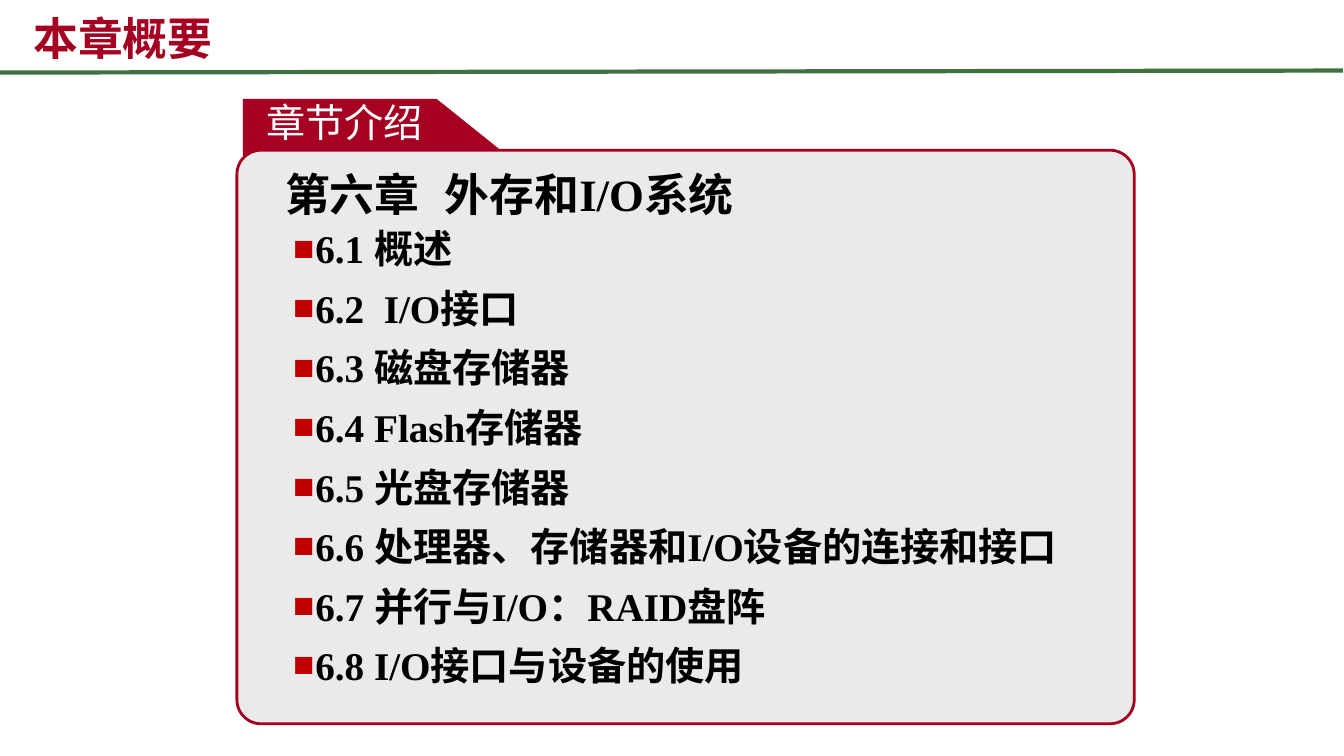
from lxml import etree
from pptx import Presentation
from pptx.dml.color import RGBColor
from pptx.enum.shapes import MSO_CONNECTOR, MSO_SHAPE
from pptx.enum.text import MSO_ANCHOR, PP_ALIGN
from pptx.oxml.ns import qn
from pptx.util import Emu, Pt

PX = 9144  # 100 px to the inch
CRIMSON = RGBColor(0xA5, 0x00, 0x21)
GREEN = RGBColor(0x3F, 0x71, 0x41)
PANEL_GRAY = RGBColor(0xEA, 0xEA, 0xEA)
BLACK = RGBColor(0, 0, 0)
WHITE = RGBColor(0xFF, 0xFF, 0xFF)
SANS, SERIF, ARIAL = "Noto Sans CJK SC", "Times New Roman", "Arial"

SECTIONS = [
    "6.1 概述",
    "6.2  I/O接口",
    "6.3 磁盘存储器",
    "6.4 Flash存储器",
    "6.5 光盘存储器",
    "6.6 处理器、存储器和I/O设备的连接和接口",
    "6.7 并行与I/O：RAID盘阵",
    "6.8 I/O接口与设备的使用",
]


def px(*values):
    return [Emu(v * PX) for v in values]


def add_sub(parent, tag, **attrs):
    return etree.SubElement(parent, qn(tag), attrs)


def add_bullet(p):
    pPr = p._p.get_or_add_pPr()
    pPr.set("marL", str(50 * PX))
    pPr.set("indent", str(-22 * PX))
    add_sub(add_sub(pPr, "a:buClr"), "a:srgbClr", val="C00000")
    add_sub(pPr, "a:buSzPct", val="90000")
    add_sub(pPr, "a:buFont", typeface=SERIF)
    add_sub(pPr, "a:buChar", char="■")


def add_text(s, box, lines, size, font, color, bold=True, wrap=True, bullets=False):
    tf = s.shapes.add_textbox(*px(*box)).text_frame
    tf.word_wrap = wrap
    tf.text = "\n".join(lines)
    for i, p in enumerate(tf.paragraphs):
        if bullets:
            p.level = 1
            add_bullet(p)
            if i:
                p.space_before = Pt(8.9)
        for r in p.runs:
            r.font.size, r.font.bold, r.font.name = Pt(size), bold, font
            r.font.color.rgb = color
            # Chinese glyphs stay sans-serif beside serif Latin text
            add_sub(r.font._element, "a:ea", typeface=ARIAL if font == SERIF else font)
    return tf


def add_rule(s, x1, y1, x2, y2):
    line = s.shapes.add_connector(MSO_CONNECTOR.STRAIGHT, *px(x1, y1, x2, y2))
    line.line.color.rgb, line.line.width = GREEN, Pt(3)
    add_sub(line._element.spPr, "a:effectLst")


def add_tab(s, points):
    builder = s.shapes.build_freeform(*points[0], scale=PX)
    builder.add_line_segments(points[1:], close=True)
    tab = builder.convert_to_shape()
    tab.shadow.inherit = False
    tab.fill.solid()
    tab.fill.fore_color.rgb = CRIMSON
    tab.line.fill.background()


def add_panel(s, box):
    panel = s.shapes.add_shape(MSO_SHAPE.ROUNDED_RECTANGLE, *px(*box))
    panel.adjustments[0] = 0.042
    panel.shadow.inherit = False
    panel.fill.solid()
    panel.fill.fore_color.rgb = PANEL_GRAY
    panel.line.color.rgb, panel.line.width = CRIMSON, Pt(2)


def main():
    prs = Presentation()
    prs.slide_width, prs.slide_height = px(1333, 750)
    s = prs.slides.add_slide(prs.slide_layouts[6])

    # Title above the green rule
    add_rule(s, 0, 72, 1332, 70)
    title = add_text(s, (13, 0, 323, 69), ["本章概要"], 32, SANS, CRIMSON)
    title.vertical_anchor = MSO_ANCHOR.BOTTOM
    title.margin_left = Emu(20 * PX)

    # Tab behind the panel
    add_tab(s, [(241, 98), (433, 98), (509, 159), (241, 159)])
    tab = add_text(s, (254, 93, 176, 57), ["章节介绍"], 28, ARIAL, WHITE,
                   bold=False, wrap=False)
    tab.paragraphs[0].alignment = PP_ALIGN.CENTER

    # Panel with the chapter heading and its sections
    add_panel(s, (235, 149, 890, 569))
    heading = add_text(s, (273, 155, 683, 124), ["第六章  外存和I/O系统"], 32, SERIF, BLACK)
    heading.paragraphs[0].line_spacing = 1.1
    add_text(s, (253, 218, 906, 475), SECTIONS, 28, SERIF, BLACK, bullets=True)

    prs.save("out.pptx")


if __name__ == "__main__":
    main()
